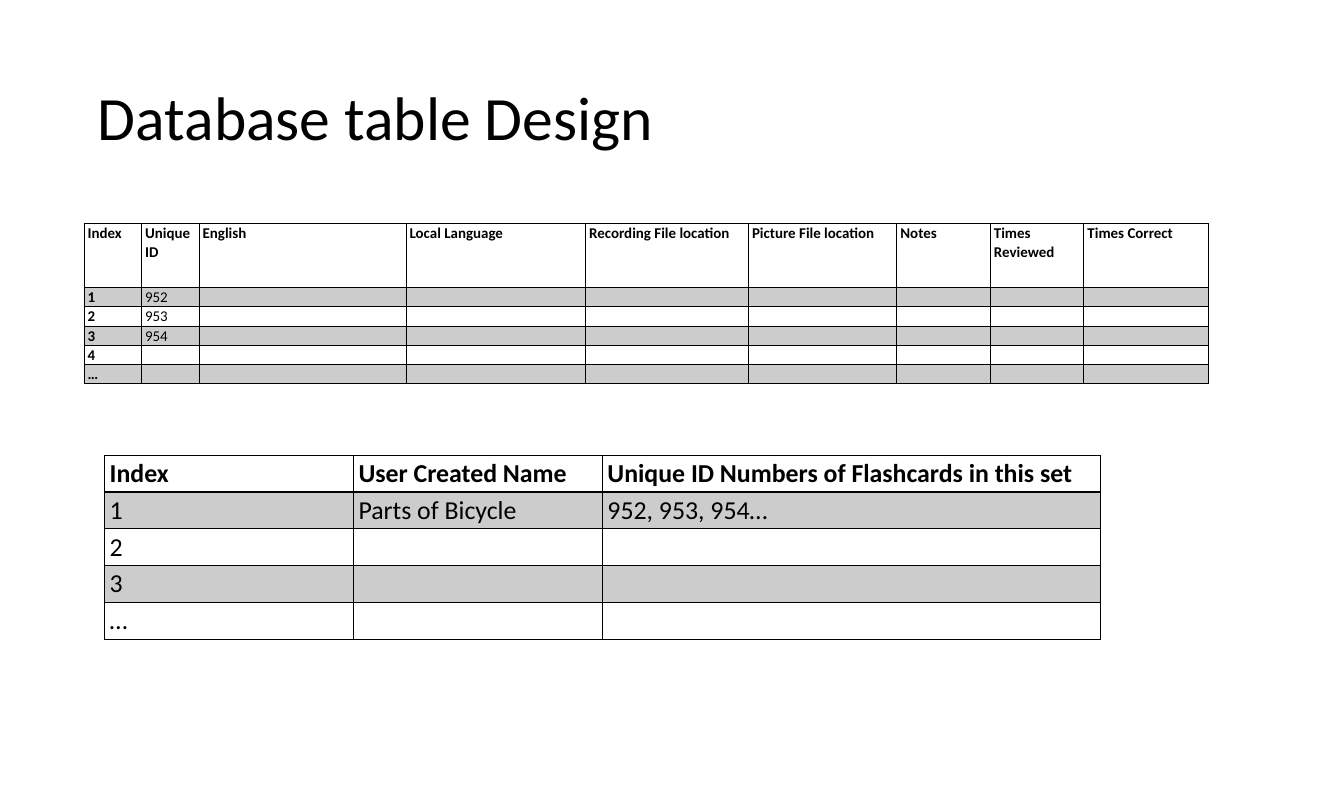
"""Build the slide "Database table Design" with its flashcard and set tables."""
from lxml import etree
from pptx import Presentation
from pptx.dml.color import RGBColor
from pptx.enum.text import MSO_ANCHOR, PP_ALIGN
from pptx.oxml.ns import qn
from pptx.util import Inches, Pt

MIDDLE = MSO_ANCHOR.MIDDLE
LEFT = PP_ALIGN.LEFT
FONT = "Calibri"
COLORS = {"ink": "000000", "paper": "FFFFFF"}
BAND_ALPHA = "20000"


def style_font(font, size, bold=False):
    """Give a font the common face and colour."""
    font.name = FONT
    font.size = Pt(size)
    font.bold = bold
    font.color.rgb = RGBColor.from_string(COLORS["ink"])


def add_borders(cell, widths):
    """Put solid lines on the left, right, top and bottom of a cell."""
    properties = cell._tc.get_or_add_tcPr()
    for position, (side, width) in enumerate(zip("LRTB", widths)):
        line = etree.Element(qn(f"a:ln{side}"), w=str(Pt(width)))
        fill = etree.SubElement(line, qn("a:solidFill"))
        etree.SubElement(fill, qn("a:srgbClr"), val=COLORS["ink"])
        properties.insert(position, line)


presentation = Presentation()
presentation.slide_width = Inches(25)
presentation.slide_height = Inches(15)
slide = presentation.slides.add_slide(presentation.slide_layouts[5])
slide.background.fill.solid()
slide.background.fill.fore_color.rgb = RGBColor.from_string(COLORS["paper"])

title = slide.shapes.title
title.left, title.top = Inches(1.72), Inches(0.8)
title.width, title.height = Inches(21.56), Inches(2.9)
title.text_frame.vertical_anchor = MIDDLE
title_paragraph = title.text_frame.paragraphs[0]
title_paragraph.alignment = LEFT
title_paragraph.line_spacing = 0.9
title_run = title_paragraph.add_run()
title_run.text = "Database table Design"
style_font(title_run.font, 82.5)

tables = [
    {
        "left": 1.56, "top": 4.16, "size": 20, "margins": (0.07, 0),
        "line_spacing": 1.05, "space_after": 8, "bold_index": True,
        "columns": [1.07, 1.07, 3.85, 3.34, 3.03, 2.76, 1.74, 1.74, 2.32],
        "heights": [1.19] + [0.35] * 5,
        "rows": [
            ["Index", "Unique ID", "English", "Local Language",
             "Recording File location", "Picture File location",
             "Notes", "Times Reviewed", "Times Correct"],
            ["1", "952"], ["2", "953"], ["3", "954"], ["4"], ["…"],
        ],
    },
    {
        "left": 1.94, "top": 8.47, "size": 34.6, "margins": (0.1, 0.05),
        "line_spacing": 1.0, "space_after": 0, "bold_index": False,
        "columns": [4.63, 4.63, 9.27],
        "heights": [0.68] * 5,
        "rows": [
            ["Index", "User Created Name",
             "Unique ID Numbers of Flashcards in this set"],
            ["1", "Parts of Bicycle", "952, 953, 954…"],
            ["2"], ["3"], ["…"],
        ],
    },
]

for design in tables:
    columns, heights = design["columns"], design["heights"]
    table = slide.shapes.add_table(
        len(heights), len(columns), Inches(design["left"]), Inches(design["top"]),
        Inches(sum(columns)), Inches(sum(heights))).table
    table.first_row = False
    table.horz_banding = False
    for column, width in zip(table.columns, columns):
        column.width = Inches(width)

    side_margin, end_margin = map(Inches, design["margins"])
    for row_index, (height, texts) in enumerate(zip(heights, design["rows"])):
        table.rows[row_index].height = Inches(height)
        for column_index in range(len(columns)):
            cell = table.cell(row_index, column_index)
            cell.margin_left = cell.margin_right = side_margin
            cell.margin_top = cell.margin_bottom = end_margin
            if row_index % 2:
                cell.fill.solid()
                cell.fill.fore_color.rgb = RGBColor.from_string(COLORS["ink"])
                band_color = cell._tc.tcPr.find(".//" + qn("a:srgbClr"))
                etree.SubElement(band_color, qn("a:alpha"), val=BAND_ALPHA)
            else:
                cell.fill.background()
            add_borders(cell, (1, 1, 2 if row_index == 1 else 1,
                               2 if row_index == 0 else 1))

            paragraph = cell.text_frame.paragraphs[0]
            paragraph.line_spacing = design["line_spacing"]
            paragraph.space_after = Pt(design["space_after"])
            if column_index < len(texts):
                run = paragraph.add_run()
                run.text = texts[column_index]
                bold = row_index == 0 or (design["bold_index"] and column_index == 0)
                style_font(run.font, design["size"], bold)
            else:
                etree.SubElement(paragraph._p, qn("a:endParaRPr"),
                                 sz=str(round(design["size"] * 100)))

presentation.save("out.pptx")
